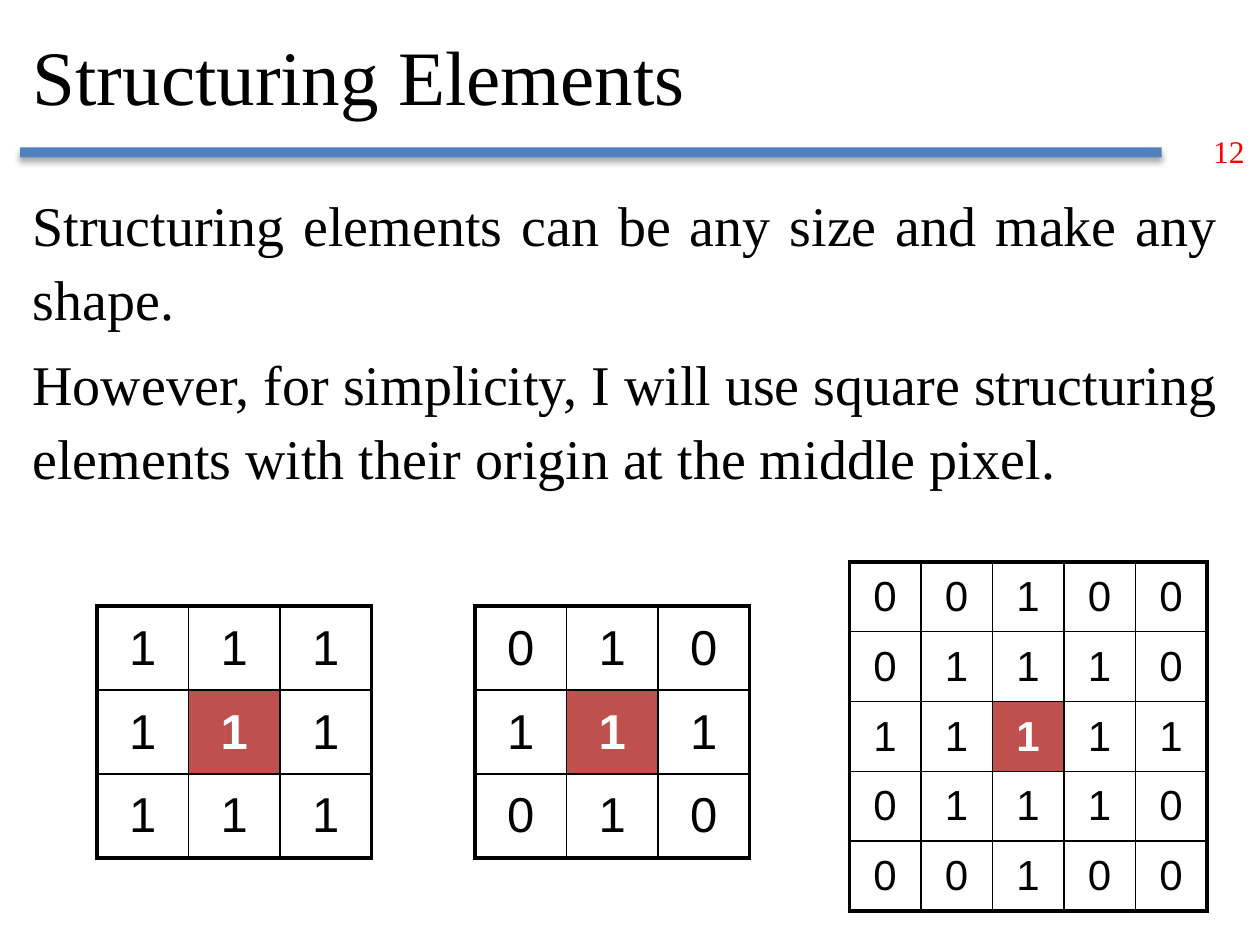
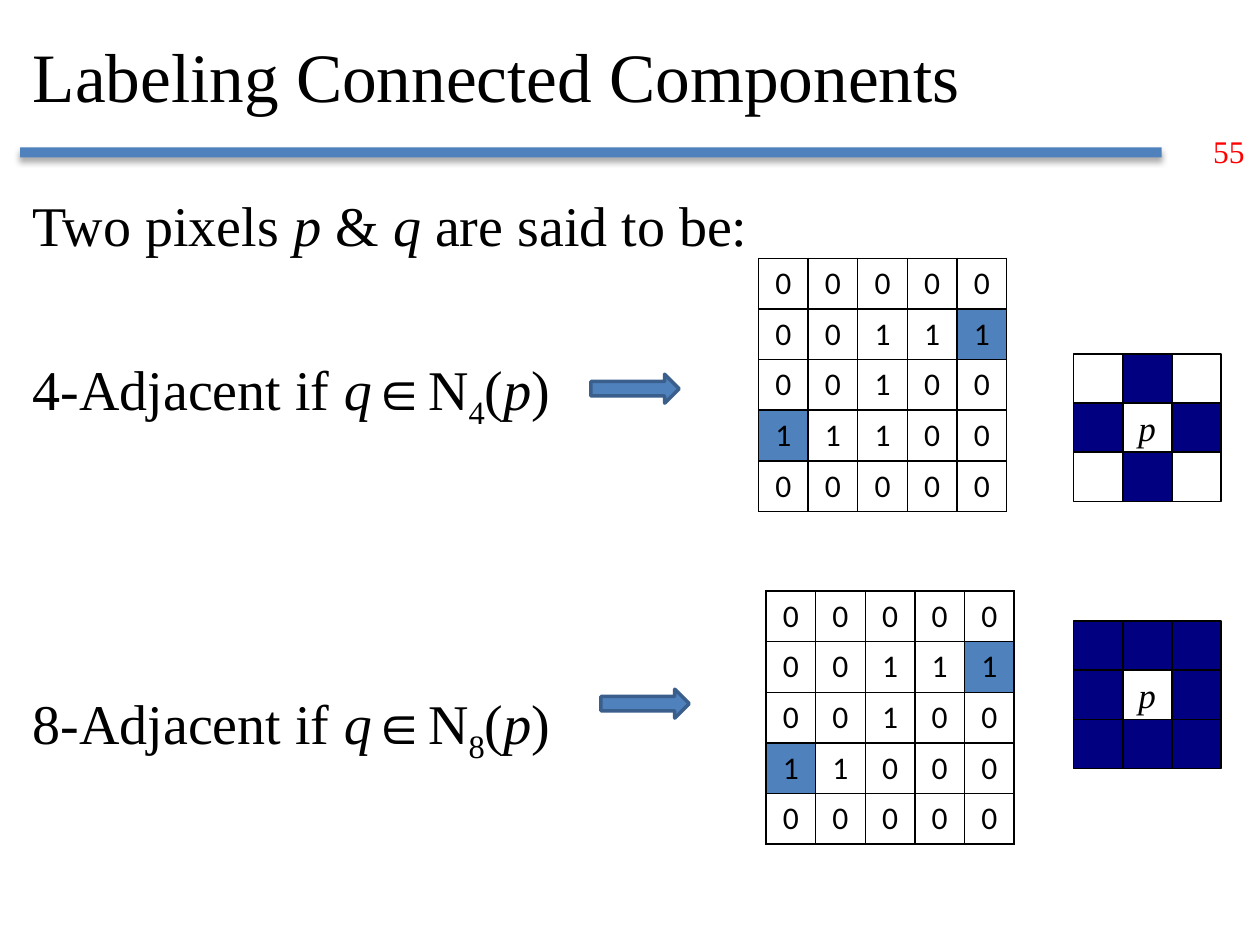
from dataclasses import dataclass
from typing import Any

from lxml.etree import SubElement
from pptx import Presentation
from pptx.dml.color import RGBColor
from pptx.enum.shapes import MSO_SHAPE
from pptx.enum.text import MSO_ANCHOR, MSO_AUTO_SIZE, PP_ALIGN
from pptx.oxml import parse_xml
from pptx.oxml.ns import nsdecls, qn
from pptx.util import Inches, Pt

BLACK, WHITE, RED = "000000", "FFFFFF", "FF0000"
BLUE, DARK_BLUE, NAVY, BRICK = "4F81BD", "3A5F8C", "000080", "C0504D"
SERIF, SANS, DIGITS = "Times New Roman", "Arial", "Calibri"

TITLE_BOX = (0.16, 0.08, 8.2, 1.02)
BAND_BOX = (0.16, 1.17, 9.06, 0.08)
NUMBER_BOX = (9.53, 1, 0.5, 0.4)
BODY_BOX = (0.16, 1.41, 9.61, 6.02)
PIXEL_SIZE = 0.39
NO_INSETS = dict.fromkeys(("margin_left", "margin_top", "margin_right", "margin_bottom"), 0)

Box = tuple[float, float, float, float]


@dataclass(frozen=True)
class Run:
    """A piece of text with its format values."""

    text: str
    italic: bool = False
    subscript: bool = False


@dataclass(frozen=True)
class Line:
    """A body paragraph and the space before it in points."""

    runs: list[Run]
    space_before: float = 0


@dataclass(frozen=True)
class Matrix:
    """A table of binary pixel values, one string per row."""

    box: Box
    rows: list[str]
    font_name: str
    font_size: float
    marked: set[tuple[int, int]]
    mark_fill: str
    mark_font: dict[str, Any]
    outline: float = 1


@dataclass(frozen=True)
class Neighbourhood:
    """A block of pixels around p, where 1 is a neighbour."""

    left: float
    top: float
    rows: list[str]


def color(value: str) -> RGBColor:
    """Turn a hex string into a colour."""
    return RGBColor.from_string(value)


def apply(target: Any, values: dict[str, Any]) -> None:
    """Set every format value on the target."""
    for name, value in values.items():
        setattr(target, name, value)


def place(shape: Any, box: Box) -> None:
    """Move and size a shape in inches."""
    apply(shape, dict(zip(("left", "top", "width", "height"), map(Inches, box))))


def style_font(font: Any, size: float, name: str = SERIF, fill: str = BLACK, **values: Any) -> None:
    """Format a font."""
    apply(font, {"size": Pt(size), "name": name, **values})
    font.color.rgb = color(fill)


def add_box(shapes: Any, kind: MSO_SHAPE, box: Box, fill: str, line: str = "", width: float = 1) -> Any:
    """Add a flat preset shape."""
    shape = shapes.add_shape(kind, *map(Inches, box))
    shape.shadow.inherit = False
    shape.fill.solid()
    shape.fill.fore_color.rgb = color(fill)
    if line:
        shape.line.color.rgb = color(line)
        shape.line.width = Pt(width)
    else:
        shape.line.fill.background()
    return shape


def add_band(slide: Any) -> None:
    """Add the blue band with its soft shadow."""
    band = add_box(slide.shapes, MSO_SHAPE.RECTANGLE, BAND_BOX, BLUE)
    effects = band._element.spPr.find(qn("a:effectLst"))
    effects.append(parse_xml(
        f'<a:outerShdw {nsdecls("a")} blurRad="{Pt(3.5)}" dist="{Pt(2.2)}" dir="5400000" rotWithShape="0">'
        f'<a:srgbClr val="{BLACK}"><a:alpha val="32000"/></a:srgbClr></a:outerShdw>'))


def start_slide(presentation: Any, title: str, title_size: float, number: int) -> Any:
    """Add a slide with title, band and page number."""
    slide = presentation.slides.add_slide(presentation.slide_layouts[5])
    heading = slide.shapes.title
    place(heading, TITLE_BOX)
    heading.text = title
    apply(heading.text_frame, {"vertical_anchor": MSO_ANCHOR.MIDDLE, "auto_size": MSO_AUTO_SIZE.NONE})
    paragraph = heading.text_frame.paragraphs[0]
    paragraph.alignment = PP_ALIGN.LEFT
    style_font(paragraph.runs[0].font, title_size)
    add_band(slide)
    page = slide.shapes.add_textbox(*map(Inches, NUMBER_BOX))
    page.text_frame.text = str(number)
    page.text_frame.word_wrap = False
    style_font(page.text_frame.paragraphs[0].runs[0].font, 18, fill=RED)
    return slide


def add_body(slide: Any, lines: list[Line]) -> None:
    """Add the justified body text."""
    frame = slide.shapes.add_textbox(*map(Inches, BODY_BOX)).text_frame
    frame.word_wrap = True
    for index, line in enumerate(lines):
        paragraph = frame.add_paragraph() if index else frame.paragraphs[0]
        apply(paragraph, {"alignment": PP_ALIGN.JUSTIFY, "line_spacing": 1.1,
                          "space_before": Pt(line.space_before)})
        for part in line.runs:
            run = paragraph.add_run()
            run.text = part.text
            style_font(run.font, 32, italic=part.italic)
            if part.subscript:
                run.font._element.set("baseline", "-25000")


def set_borders(cell: Any, widths: dict[str, float]) -> None:
    """Draw the four borders of a cell."""
    properties = cell._tc.get_or_add_tcPr()
    for side, width in widths.items():
        line = SubElement(properties, qn(f"a:ln{side}"), w=str(Pt(width)))
        SubElement(SubElement(line, qn("a:solidFill")), qn("a:srgbClr"), val=BLACK)


def add_matrix(slide: Any, matrix: Matrix) -> None:
    """Add a table of pixel values with marked cells."""
    row_count, column_count = len(matrix.rows), len(matrix.rows[0])
    table = slide.shapes.add_table(row_count, column_count, *map(Inches, matrix.box)).table
    apply(table, {"first_row": False, "horz_banding": False})
    for column in table.columns:
        column.width = Inches(matrix.box[2] / column_count)
    for row_index, digits in enumerate(matrix.rows):
        table.rows[row_index].height = Inches(matrix.box[3] / row_count)
        for column_index, digit in enumerate(digits):
            cell = table.cell(row_index, column_index)
            edges = {"L": column_index == 0, "R": column_index == column_count - 1,
                     "T": row_index == 0, "B": row_index == row_count - 1}
            set_borders(cell, {side: matrix.outline if outer else 1 for side, outer in edges.items()})
            marked = (row_index, column_index) in matrix.marked
            if marked:
                cell.fill.solid()
                cell.fill.fore_color.rgb = color(matrix.mark_fill)
            else:
                cell.fill.background()
            cell.text = digit
            cell.vertical_anchor = MSO_ANCHOR.MIDDLE
            paragraph = cell.text_frame.paragraphs[0]
            paragraph.alignment = PP_ALIGN.CENTER
            style_font(paragraph.runs[0].font, matrix.font_size, matrix.font_name,
                       **(matrix.mark_font if marked else {}))


def add_neighbourhood(slide: Any, block: Neighbourhood) -> None:
    """Add a grouped block of pixels around p."""
    group = slide.shapes.add_group_shape()
    for row_index, row in enumerate(block.rows):
        for column_index, mark in enumerate(row):
            box = (block.left + column_index * PIXEL_SIZE, block.top + row_index * PIXEL_SIZE,
                   PIXEL_SIZE, PIXEL_SIZE)
            pixel = add_box(group.shapes, MSO_SHAPE.RECTANGLE, box, NAVY if mark == "1" else WHITE, BLACK)
            if mark == "p":
                frame = pixel.text_frame
                apply(frame, {**NO_INSETS, "word_wrap": False, "vertical_anchor": MSO_ANCHOR.MIDDLE})
                frame.text = mark
                frame.paragraphs[0].alignment = PP_ALIGN.CENTER
                style_font(frame.paragraphs[0].runs[0].font, 20, italic=True)


def structuring_element(box: Box, rows: list[str], font_size: float) -> Matrix:
    """Describe a structuring element with its origin in the middle."""
    middle = len(rows) // 2
    return Matrix(box, rows, SANS, font_size, {(middle, middle)}, BRICK,
                  {"fill": WHITE, "bold": True}, 2.25)


def labelled_pixels(box: Box, rows: list[str]) -> Matrix:
    """Describe a pixel grid with the two end pixels marked."""
    return Matrix(box, rows, DIGITS, 18, {(1, 4), (3, 0)}, BLUE, {})


def adjacency(count: str, space_before: float) -> Line:
    """Describe the line that defines an adjacency."""
    return Line([Run(f"{count}-Adjacent if "), Run("q", italic=True), Run("∈N"),
                 Run(count, subscript=True), Run("("), Run("p", italic=True), Run(")")], space_before)


def build_structuring_elements(presentation: Any) -> None:
    """Build the slide on structuring elements."""
    slide = start_slide(presentation, "Structuring Elements", 44, 12)
    add_body(slide, [
        Line([Run("Structuring elements can be any size and make any shape.")]),
        Line([Run("However, for simplicity, I will use square structuring elements "
                  "with their origin at the middle pixel.")], 6.4),
    ])
    for matrix in (
        structuring_element((0.77, 4.81, 2.18, 2), ["111", "111", "111"], 28),
        structuring_element((6.74, 4.46, 2.84, 2.77), ["00100", "01110", "11111", "01110", "00100"], 24),
        structuring_element((3.77, 4.81, 2.18, 2), ["010", "111", "010"], 28),
    ):
        add_matrix(slide, matrix)


def build_connected_components(presentation: Any) -> None:
    """Build the slide on labeling connected components."""
    slide = start_slide(presentation, "Labeling Connected Components", 39.6, 55)
    add_body(slide, [
        Line([Run("Two pixels "), Run("p", italic=True), Run(" & "), Run("q", italic=True),
              Run(" are said to be:")]),
        adjacency("4", 51),
        adjacency("8", 142.6),
    ])
    add_matrix(slide, labelled_pixels((6.02, 2.05, 1.97, 2.01), ["00000", "00111", "00100", "11100", "00000"]))
    add_matrix(slide, labelled_pixels((6.08, 4.69, 1.97, 2.01), ["00000", "00111", "00100", "11000", "00000"]))
    for left, top in ((4.69, 2.97), (4.77, 5.47)):
        add_box(slide.shapes, MSO_SHAPE.RIGHT_ARROW, (left, top, 0.7, 0.23), BLUE, DARK_BLUE, 2)
    add_neighbourhood(slide, Neighbourhood(8.52, 2.81, ["010", "1p1", "010"]))
    add_neighbourhood(slide, Neighbourhood(8.52, 4.93, ["111", "1p1", "111"]))


def main() -> None:
    """Build and save the presentation."""
    presentation = Presentation()
    apply(presentation, {"slide_width": Inches(10), "slide_height": Inches(7.5)})
    build_structuring_elements(presentation)
    build_connected_components(presentation)
    presentation.save("out.pptx")


if __name__ == "__main__":
    main()
